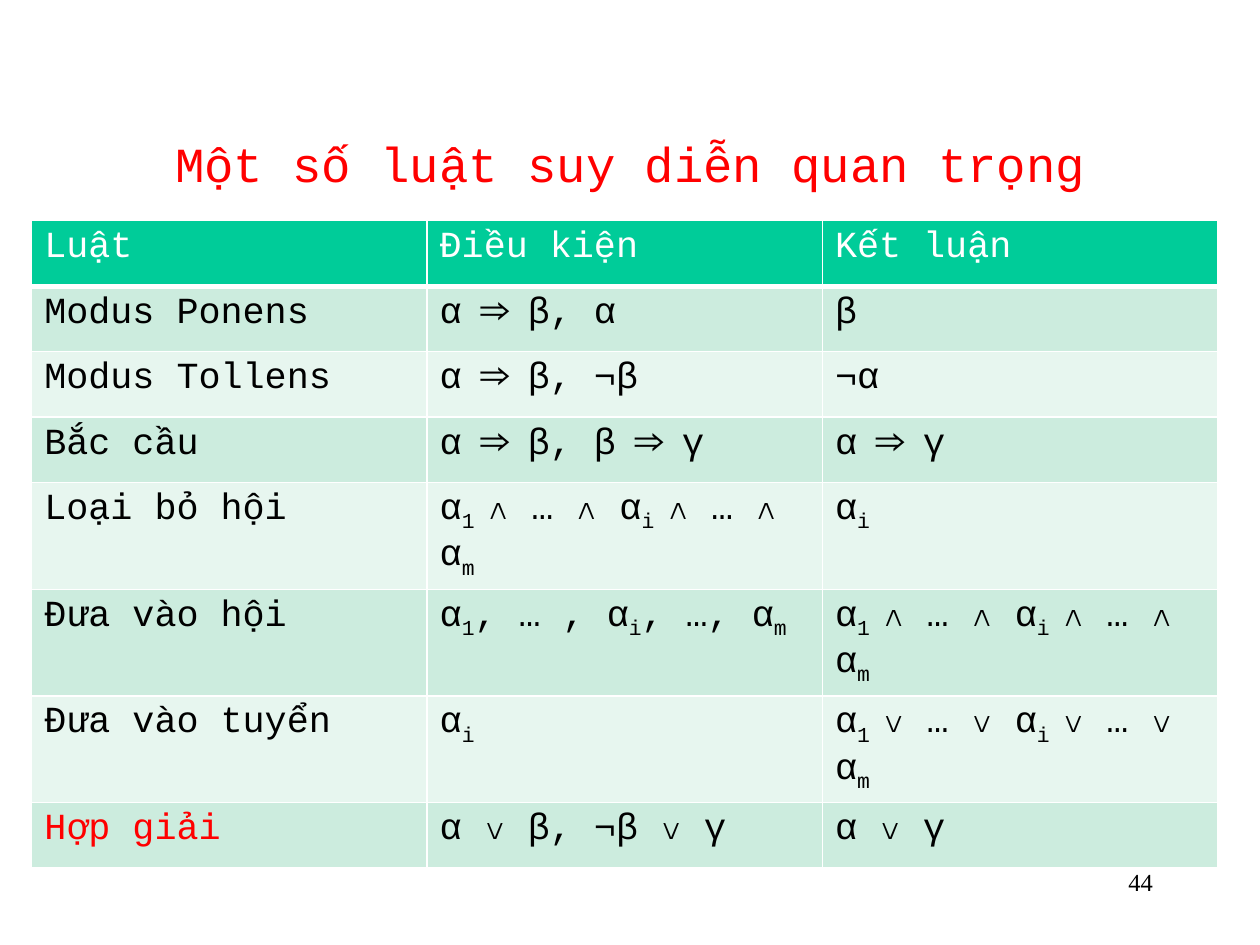
from dataclasses import dataclass

from lxml.etree import SubElement
from pptx import Presentation
from pptx.dml.color import RGBColor
from pptx.enum.text import MSO_ANCHOR, PP_ALIGN
from pptx.oxml.ns import qn
from pptx.slide import Slide
from pptx.table import _Cell
from pptx.text.text import _Run
from pptx.util import Cm, Pt


@dataclass(frozen=True)
class Theme:
    body_font: str = "Courier New"
    number_font: str = "Times New Roman"
    title_size: int = 28
    cell_size: int = 21
    number_size: int = 14
    subscript: str = "-25000"
    black: str = "000000"
    white: str = "FFFFFF"
    red: str = "FF0000"
    header: str = "00CC99"
    bands: tuple[str, str] = ("CCECDE", "E7F6EF")
    thin: int = 1
    thick: int = 3


@dataclass(frozen=True)
class Rule:
    name: str
    premise: str
    conclusion: str
    name_color: str = Theme.black

    @property
    def wraps(self) -> bool:
        return bool({self.premise, self.conclusion} & {CONJUNCTION, DISJUNCTION})


THEME = Theme()
TITLE = "Một số luật suy diễn quan trọng"
HEADINGS = ("Luật", "Điều kiện", "Kết luận")
CONJUNCTION = "α|1 |∧ … ∧ α|i |∧ … ∧ α|m"
DISJUNCTION = CONJUNCTION.replace("∧", "∨")
RULES = (
    Rule("Modus Ponens", "α ⇒ β, α", "β"),
    Rule("Modus Tollens", "α ⇒ β, ¬β", "¬α"),
    Rule("Bắc cầu", "α ⇒ β, β ⇒ γ", "α ⇒ γ"),
    Rule("Loại bỏ hội", CONJUNCTION, "α|i"),
    Rule("Đưa vào hội", "α|1|, … , α|i|, …, α|m", CONJUNCTION),
    Rule("Đưa vào tuyển", "α|i", DISJUNCTION),
    Rule("Hợp giải", "α ∨ β, ¬β ∨ γ", "α ∨ γ", THEME.red),
)


def format_run(run: _Run, font: str, size: int, color: str) -> None:
    run.font.name = font
    run.font.size = Pt(size)
    run.font.color.rgb = RGBColor.from_string(color)


def draw_borders(cell: _Cell, top: int, bottom: int) -> None:
    properties = cell._tc.get_or_add_tcPr()
    widths = {"a:lnL": THEME.thin, "a:lnR": THEME.thin, "a:lnT": top, "a:lnB": bottom}
    for tag, width in widths.items():
        line = SubElement(properties, qn(tag), w=str(Pt(width)))
        SubElement(SubElement(line, qn("a:solidFill")), qn("a:srgbClr"), val=THEME.white)


def fill_cell(cell: _Cell, formula: str, color: str, background: str) -> None:
    cell.fill.solid()
    cell.fill.fore_color.rgb = RGBColor.from_string(background)
    paragraph = cell.text_frame.paragraphs[0]
    for position, part in enumerate(formula.split("|")):
        run = paragraph.add_run()
        run.text = part
        format_run(run, THEME.body_font, THEME.cell_size, color)
        if position % 2:
            run._r.get_or_add_rPr().set("baseline", THEME.subscript)


def draw_title(slide: Slide) -> None:
    title = slide.shapes.title
    title.left, title.top, title.width, title.height = Cm(1.91), Cm(1.7), Cm(21.59), Cm(3.18)
    frame = title.text_frame
    frame.text = TITLE
    frame.vertical_anchor = MSO_ANCHOR.MIDDLE
    frame.paragraphs[0].alignment = PP_ALIGN.CENTER
    format_run(frame.paragraphs[0].runs[0], THEME.body_font, THEME.title_size, THEME.red)


def draw_rules(slide: Slide) -> None:
    column_width, single_height, double_height = Cm(7.97), Cm(1.32), Cm(2.12)
    heights = [single_height]
    heights += [double_height if rule.wraps else single_height for rule in RULES]
    table = slide.shapes.add_table(
        len(heights), len(HEADINGS), Cm(0.64), Cm(4.45),
        column_width * len(HEADINGS), sum(heights),
    ).table
    for column in table.columns:
        column.width = column_width
    for row, height in zip(table.rows, heights):
        row.height = height

    for column, heading in enumerate(HEADINGS):
        cell = table.cell(0, column)
        draw_borders(cell, THEME.thin, THEME.thick)
        fill_cell(cell, heading, THEME.white, THEME.header)

    for index, rule in enumerate(RULES):
        background = THEME.bands[index % 2]
        entries = (
            (rule.name, rule.name_color),
            (rule.premise, THEME.black),
            (rule.conclusion, THEME.black),
        )
        for column, (formula, color) in enumerate(entries):
            cell = table.cell(index + 1, column)
            draw_borders(cell, THEME.thin if index else THEME.thick, THEME.thin)
            fill_cell(cell, formula, color, background)
            if rule.wraps:
                cell.margin_bottom = Cm(0)


def draw_page_number(slide: Slide, number: int) -> None:
    frame = slide.shapes.add_textbox(Cm(18.2), Cm(17.35), Cm(5.29), Cm(1.27)).text_frame
    frame.word_wrap = True
    frame.text = str(number)
    frame.paragraphs[0].alignment = PP_ALIGN.RIGHT
    format_run(frame.paragraphs[0].runs[0], THEME.number_font, THEME.number_size, THEME.black)


def main() -> None:
    deck = Presentation()
    deck.slide_width, deck.slide_height = Cm(25.4), Cm(19.05)
    slide = deck.slides.add_slide(deck.slide_layouts.get_by_name("Title Only"))
    draw_title(slide)
    draw_page_number(slide, 44)
    draw_rules(slide)
    deck.save("out.pptx")


if __name__ == "__main__":
    main()
